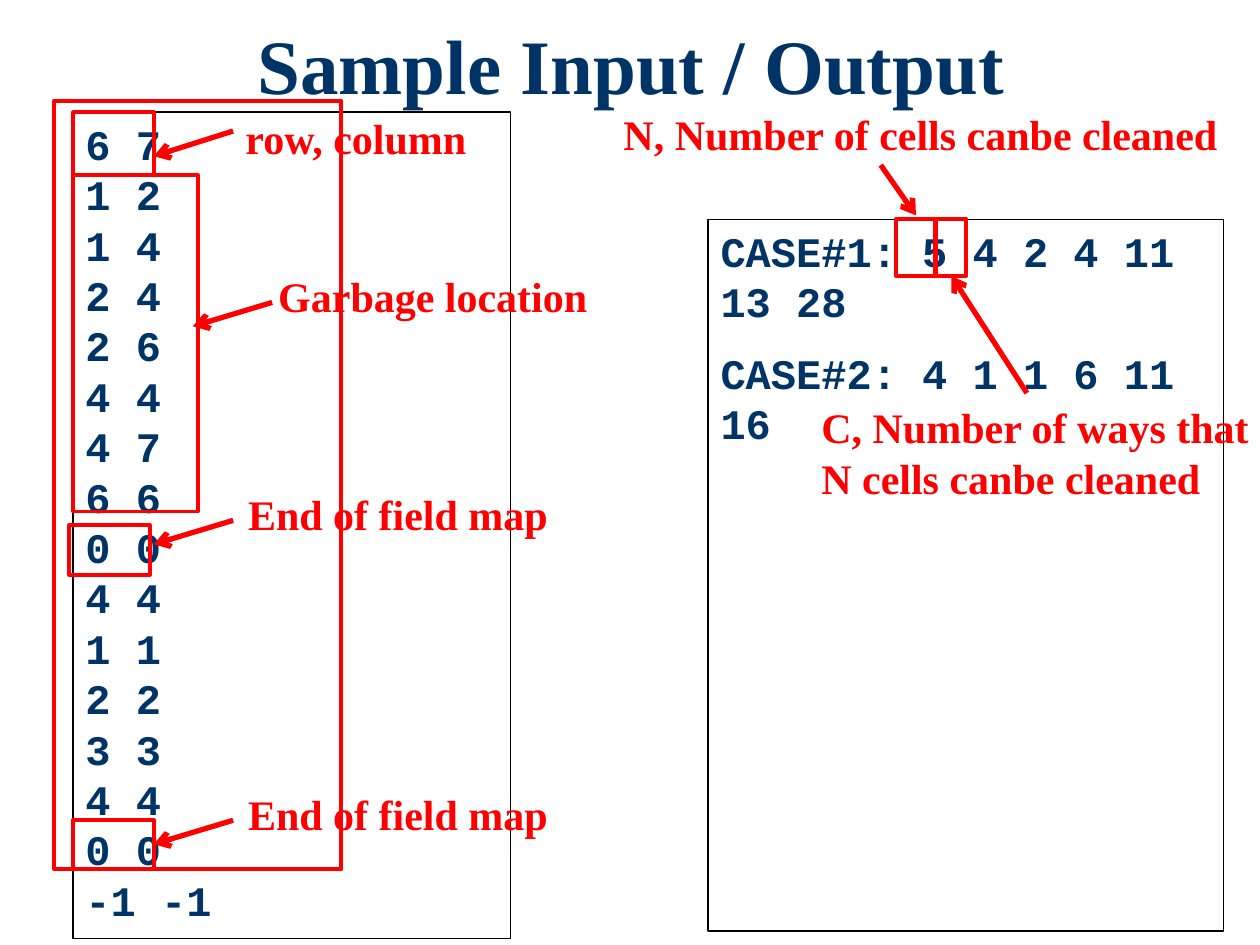
from lxml import etree
from pptx import Presentation
from pptx.dml.color import RGBColor
from pptx.enum import shapes, text
from pptx.oxml import ns
from pptx.util import Inches, Pt

NAVY = RGBColor(0x00, 0x33, 0x66)
RED = RGBColor(0xFF, 0x00, 0x00)
BLACK = RGBColor(0x00, 0x00, 0x00)
WHITE = RGBColor(0xFF, 0xFF, 0xFF)
SERIF, MONO = "Times New Roman", "Courier New"

TITLE = "Sample Input / Output"
SAMPLE_INPUT = ["6 7", "1 2", "1 4", "2 4", "2 6", "4 4", "4 7", "6 6", "0 0",
                "4 4", "1 1", "2 2", "3 3", "4 4", "0 0", "-1 -1"]
SAMPLE_OUTPUT = ["CASE#1: 5 4 2 4 11 13 28", "CASE#2: 4 1 1 6 11 16"]

# Panels: lines, (left, top, width, height), paragraph spacing in points
PANELS = [
    (SAMPLE_INPUT, (0.58, 0.89, 3.47, 6.56), 0),
    (SAMPLE_OUTPUT, (5.62, 1.74, 4.09, 5.65), 6),
]
FIRST_CASE = (0.43, 0.8, 2.28, 6.1)
# Notes: lines, text box, framed values, arrow start, arrow tip
NOTES = [
    (["End of field map"], (1.87, 6.21, 2.61, 0.5),
     (0.58, 6.51, 0.64, 0.39), (1.85, 6.51), (1.22, 6.7)),
    (["row, column"], (1.85, 0.84, 1.97, 0.5),
     (0.58, 0.89, 0.64, 0.5), (1.85, 1.04), (1.22, 1.24)),
    (["End of field map"], (1.87, 3.83, 2.61, 0.5),
     (0.55, 4.17, 0.64, 0.39), (1.85, 4.13), (1.22, 4.32)),
    (["Garbage location"], (2.11, 2.1, 2.68, 0.5),
     (0.58, 1.39, 0.99, 2.67), (2.16, 2.4), (1.53, 2.59)),
    (["N, Number of cells canbe cleaned"], (4.85, 0.81, 4.96, 0.5),
     (7.11, 1.74, 0.31, 0.45), (6.99, 1.31), (7.27, 1.71)),
    (["C, Number of ways that", "N cells canbe cleaned"], (6.42, 3.14, 3.71, 0.91),
     (7.43, 1.74, 0.24, 0.45), (8.15, 3.12), (7.55, 2.19)),
]

prs = Presentation()
prs.slide_width, prs.slide_height = Inches(10), Inches(7.5)
slide = prs.slides.add_slide(prs.slide_layouts[6])


def inches(values):
    return [Inches(value) for value in values]


def write(frame, lines, font_name, color, size=24, spacing=0):
    for number, line in enumerate(lines):
        paragraph = frame.paragraphs[0] if number == 0 else frame.add_paragraph()
        paragraph.text = line
        paragraph.alignment = text.PP_ALIGN.LEFT
        paragraph.space_before = paragraph.space_after = Pt(spacing)
        font = paragraph.font
        font.name, font.size, font.bold = font_name, Pt(size), True
        font.color.rgb = color


def add_rectangle(box, line_color, line_width, fill_color=None):
    rectangle = slide.shapes.add_shape(shapes.MSO_SHAPE.RECTANGLE, *inches(box))
    rectangle.shadow.inherit = False
    if fill_color is None:
        rectangle.fill.background()
    else:
        rectangle.fill.solid()
        rectangle.fill.fore_color.rgb = fill_color
    rectangle.line.color.rgb = line_color
    rectangle.line.width = Pt(line_width)
    return rectangle


def add_arrow(start, tip):
    arrow = slide.shapes.add_connector(
        shapes.MSO_CONNECTOR.STRAIGHT, *inches(start + tip))
    arrow.line.color.rgb = RED
    arrow.line.width = Pt(3)
    etree.SubElement(arrow.line._get_or_add_ln(), ns.qn("a:tailEnd"), type="arrow")
    etree.SubElement(arrow._element.spPr, ns.qn("a:effectLst"))


# Title
heading = slide.shapes.add_textbox(*inches((1.01, 0.09, 8, 0.92))).text_frame
heading.word_wrap = True
heading.vertical_anchor = text.MSO_ANCHOR.MIDDLE
write(heading, [TITLE], SERIF, NAVY, size=44)
heading.paragraphs[0].alignment = text.PP_ALIGN.CENTER
heading.paragraphs[0].line_spacing = 0.9

# Input and output panels
for lines, box, spacing in PANELS:
    panel = add_rectangle(box, BLACK, 0.75, WHITE).text_frame
    panel.word_wrap = True
    panel.vertical_anchor = text.MSO_ANCHOR.TOP
    write(panel, lines, MONO, NAVY, spacing=spacing)

# Frames, arrows and notes
add_rectangle(FIRST_CASE, RED, 2.25)
for lines, box, frame, start, tip in NOTES:
    add_rectangle(frame, RED, 2.25)
    add_arrow(start, tip)
    note = slide.shapes.add_textbox(*inches(box)).text_frame
    note.word_wrap = False
    write(note, lines, SERIF, RED)

prs.save("out.pptx")
